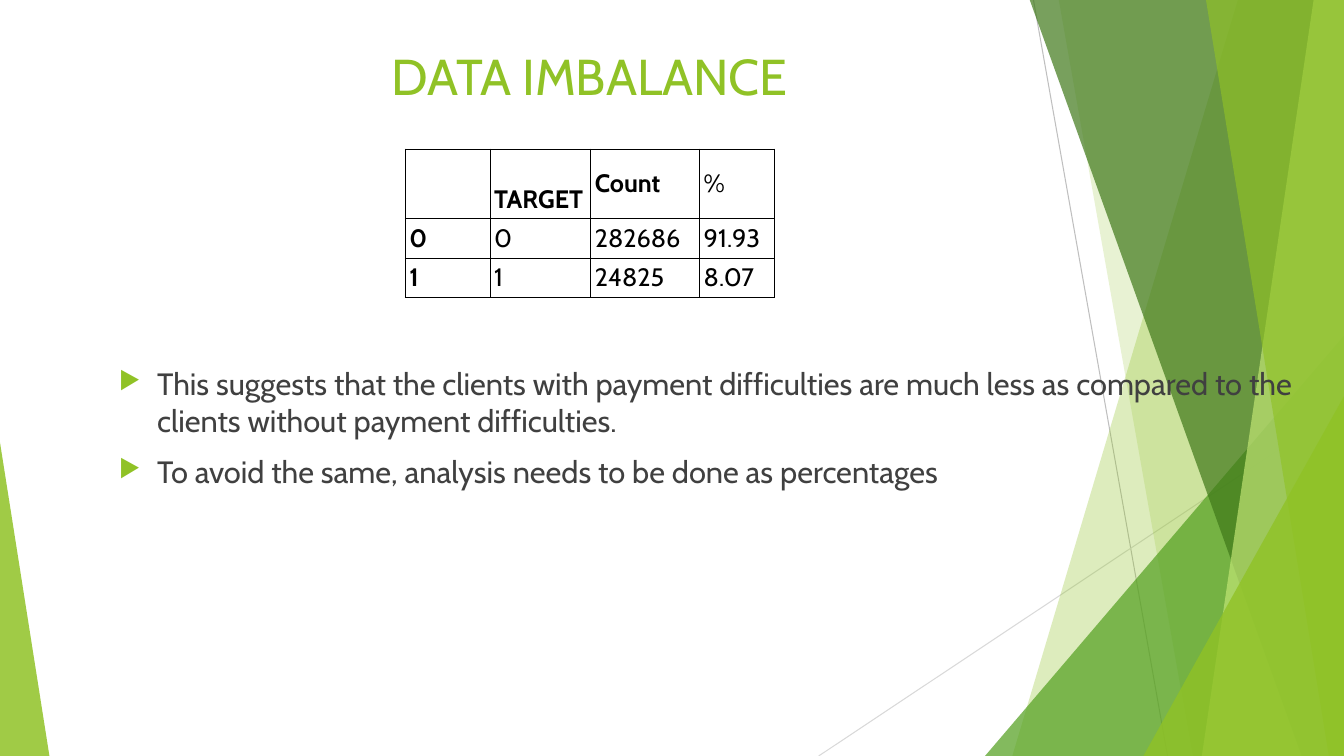
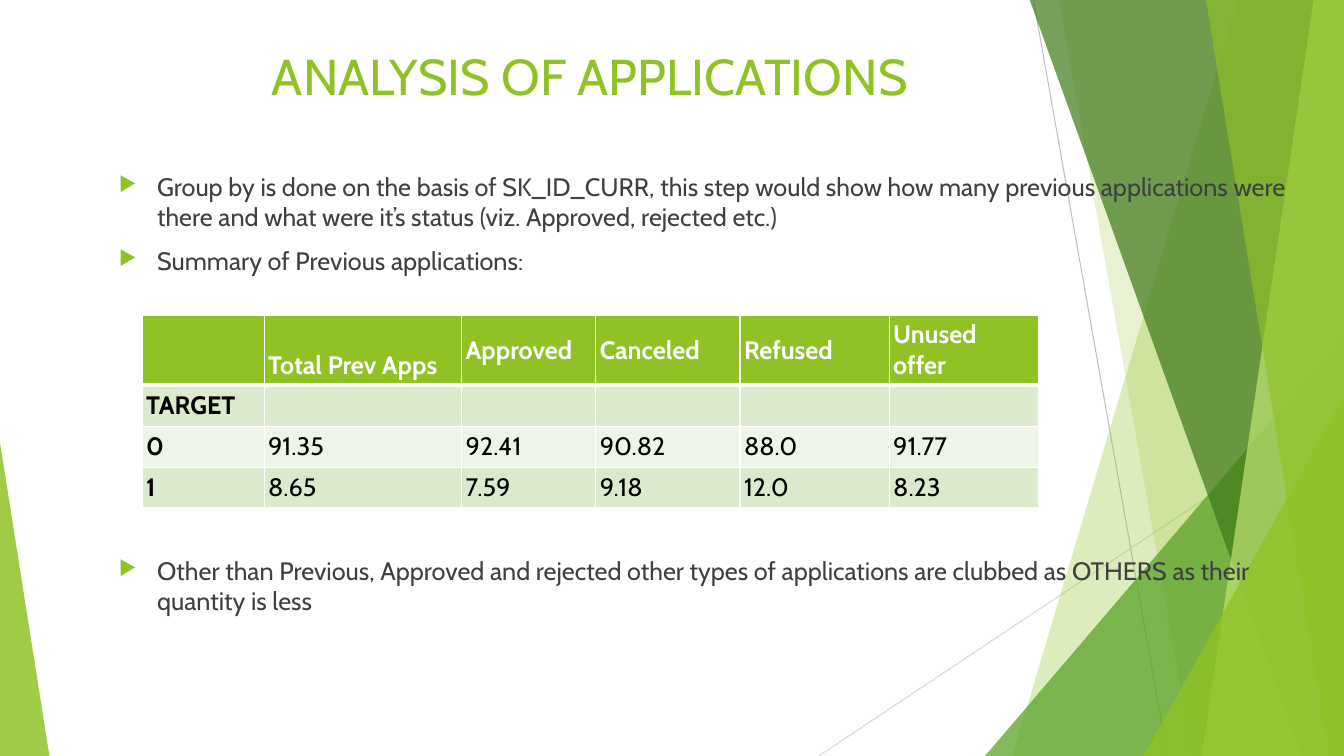
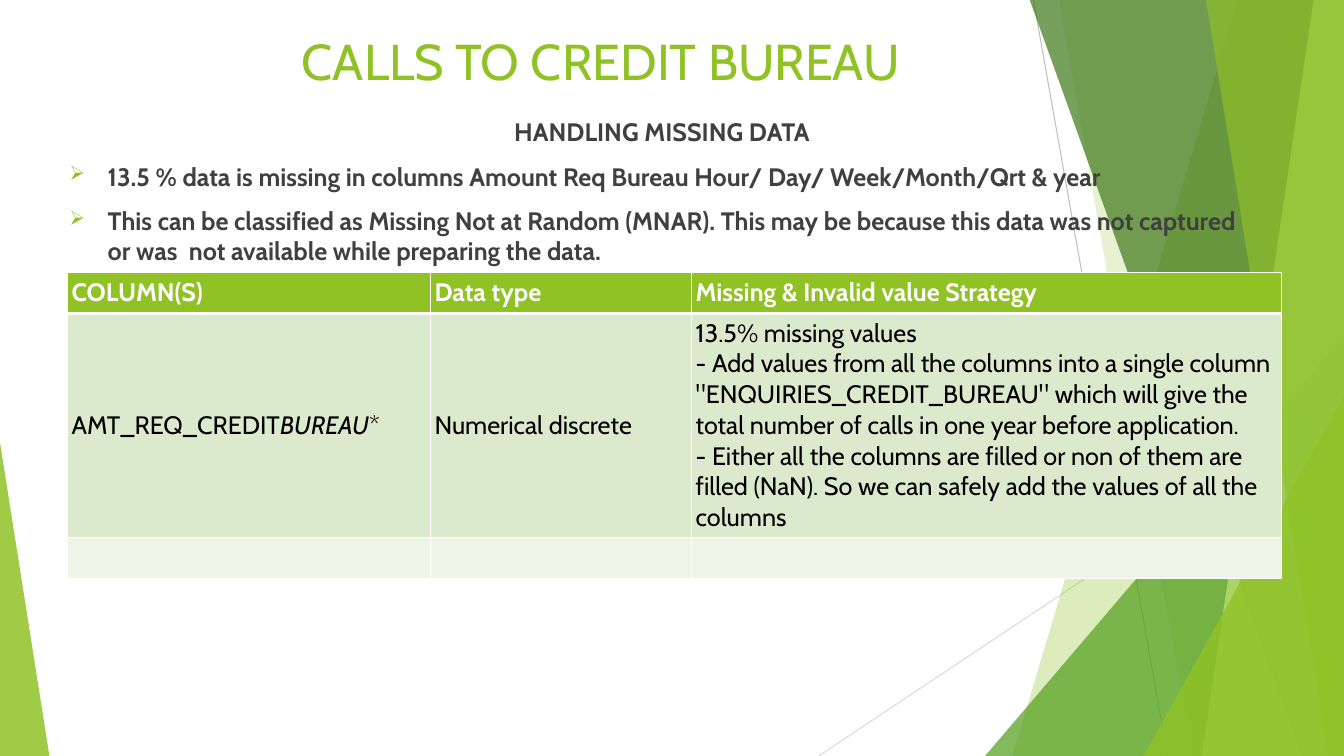
import pptx
import pptx.util
import pptx.dml.color
import pptx.enum.shapes
import pptx.enum.text
import pptx.oxml
import pptx.oxml.ns

Inches, Pt = pptx.util.Inches, pptx.util.Pt
RGBColor = pptx.dml.color.RGBColor
SHAPE = pptx.enum.shapes.MSO_SHAPE
ALIGN = pptx.enum.text.PP_ALIGN
ANCHOR = pptx.enum.text.MSO_ANCHOR
qn = pptx.oxml.ns.qn

# Shared look
FONT = "Cabin"
WIDTH, HEIGHT, TOP = 13.33, 7.5, -0.01
LIME = RGBColor(0x90, 0xC2, 0x26)
GREEN = RGBColor(0x54, 0xA0, 0x21)
DARK_GREEN = RGBColor(0x3F, 0x78, 0x19)
PALE_LIME = RGBColor(0xC0, 0xE4, 0x74)
BAND_DARK = RGBColor(0xDB, 0xE9, 0xCD)
BAND_LIGHT = RGBColor(0xEE, 0xF4, 0xE8)
BODY = RGBColor(0x40, 0x40, 0x40)
BLACK = RGBColor(0, 0, 0)
WHITE = RGBColor(0xFF, 0xFF, 0xFF)

RAYS = [
    ((10.25, 0), (11.58, HEIGHT), RGBColor(0xBF, 0xBF, 0xBF)),
    ((WIDTH, 4.03), (8.12, HEIGHT), RGBColor(0xD9, 0xD9, 0xD9)),
]
# Panels run to the right edge: (x at top, x at bottom).
# Triangles stand on the bottom edge: (left, top, width, apex).
FACETS = [
    ((12.28, 10.04), LIME, 30),
    ((10.5, 11.83), LIME, 20),
    ((9.77, 3.33, 3.56, 1), GREEN, 72),
    ((10.21, 12.91), DARK_GREEN, 70),
    ((13.03, 11.92), PALE_LIME, 70),
    ((11.96, 13.18), LIME, 65),
    ((11.34, 3.93, 1.99, 1), LIME, 80),
    ((0, 4.39, 0.49, 0), LIME, 85),
]

PLAIN = dict(fills=[WHITE] * 3, head_color=BLACK, border=BLACK, weight=0.75, head_weight=0.75)
BANDED = dict(fills=[LIME, BAND_DARK, BAND_LIGHT, BAND_DARK], head_color=WHITE,
              border=WHITE, weight=1, head_weight=3)

# Content: a cell is text or a list of (text, italic) runs
SLIDES = [
    dict(
        title="DATA IMBALANCE", title_at=(0.1, 0.4),
        texts=[dict(at=(1.08, 3.57, 11.95, 3.76), size=22, bullet="▶", paragraphs=[
            "This suggests that the clients with payment difficulties are much less as compared "
            "to the clients without payment difficulties.",
            "To avoid the same, analysis needs to be done as percentages"])],
        table=dict(
            at=(4.02, 1.48), cols=[0.84, 1, 1.08, 0.74], heights=[0.69, 0.39, 0.39],
            rows=[["", "TARGET", "Count", "%"],
                  ["0", "0", "282686", "91.93"],
                  ["1", "1", "24825", "8.07"]],
            bold={(0, 1), (0, 2), (1, 0), (2, 0)}, low={(0, 1)}, look=PLAIN)),
    dict(
        title="ANALYSIS OF APPLICATIONS", title_at=(0.1, 0.4),
        texts=[
            dict(at=(1.08, 1.65, 11.95, 1.3), size=18, bullet="▶", paragraphs=[
                "Group by is done on the basis of SK_ID_CURR, this step would show how many "
                "previous applications were there and what were it’s status (viz. Approved, "
                "rejected etc.)",
                "Summary of Previous applications:"]),
            dict(at=(1.08, 5.46, 11.95, 1), size=18, bullet="▶", paragraphs=[
                "Other than Previous, Approved and rejected other types of applications are "
                "clubbed as OTHERS as their quantity is less"])],
        table=dict(
            at=(1.41, 3.13), cols=[1.21, 1.96, 1.33, 1.43, 1.48, 1.48],
            heights=[0.69, 0.41, 0.41, 0.4],
            rows=[["", "Total Prev Apps", "Approved", "Canceled", "Refused", "Unused offer"],
                  ["TARGET", "", "", "", "", ""],
                  ["0", "91.35", "92.41", "90.82", "88.0", "91.77"],
                  ["1", "8.65", "7.59", "9.18", "12.0", "8.23"]],
            bold={(0, c) for c in range(6)} | {(r, 0) for r in range(4)},
            low={(0, 1)}, look=BANDED)),
    dict(
        title="CALLS TO CREDIT BUREAU", title_at=(0.21, 0.25),
        texts=[dict(at=(0.59, 1.11, 11.95, 1.6), size=18, bullet="➢", bold=True,
                    heading="HANDLING MISSING DATA", paragraphs=[
            "13.5 % data is missing in columns Amount Req Bureau Hour/ Day/ Week/Month/Qrt & year",
            "This can be classified as Missing Not at Random (MNAR). This may be because this "
            "data was not captured or was  not available while preparing the data."])],
        table=dict(
            at=(0.67, 2.7), cols=[3.6, 2.59, 5.85], heights=[0.41, 2.22, 0.41],
            rows=[["COLUMN(S)", "Data type", "Missing & Invalid value Strategy"],
                  [[("AMT_REQ_CREDIT", False), ("BUREAU", True), ("*", False)],
                   "Numerical discrete",
                   "13.5% missing values\n"
                   "- Add values from all the columns into a single column "
                   "\"ENQUIRIES_CREDIT_BUREAU\" which will give the total number of calls in "
                   "one year before application.\n"
                   "- Either all the columns are filled or non of them are filled (NaN). So we "
                   "can safely add the values of all the columns"],
                  ["", "", ""]],
            bold={(0, c) for c in range(3)}, low=set(), look=BANDED)),
]


def sub(parent, tag, **attrs):
    el = pptx.oxml.parse_xml(f'<{tag} {pptx.oxml.ns.nsdecls("a")}/>')
    for name, value in attrs.items():
        el.set(name, str(value))
    parent.append(el)
    return el


def add_run(p, text, size, color, bold=False, italic=False):
    r = p.add_run()
    r.text = text
    f = r.font
    f.name, f.size, f.bold, f.italic = FONT, Pt(size), bold, italic
    f.color.rgb = color


def add_textbox(s, at):
    tf = s.shapes.add_textbox(*map(Inches, at)).text_frame
    tf.word_wrap = True
    return tf


def set_bullet(p, char):
    pPr = p._p.get_or_add_pPr()
    pPr.set("marL", str(Inches(0.38)))
    pPr.set("indent", str(-Inches(0.38)))
    sub(sub(pPr, "a:buClr"), "a:srgbClr", val=LIME)
    sub(pPr, "a:buSzPct", val=80000)
    sub(pPr, "a:buChar", char=char)


def add_backdrop(s):
    for start, end, color in RAYS:
        line = s.shapes.add_connector(pptx.enum.shapes.MSO_CONNECTOR.STRAIGHT,
                                      *map(Inches, start + end))
        line.line.color.rgb = color
        line.line.width = Pt(0.75)
        sub(line._element.spPr, "a:effectLst")
    for outline, color, opacity in FACETS:
        if len(outline) == 2:
            x_top, x_bottom = outline
            corners = [(x_top, TOP), (WIDTH, TOP), (WIDTH, HEIGHT), (x_bottom, HEIGHT)]
            points = [(Inches(x), Inches(y)) for x, y in corners]
            fb = s.shapes.build_freeform(*points[0])
            fb.add_line_segments(points[1:], close=True)
            sp = fb.convert_to_shape()
        else:
            left, top, width, apex = outline
            sp = s.shapes.add_shape(SHAPE.ISOSCELES_TRIANGLE,
                                    *map(Inches, (left, top, width, HEIGHT - top)))
            sp.adjustments[0] = apex
        sp.shadow.inherit = False
        sp.line.fill.background()
        sp.fill.solid()
        sp.fill.fore_color.rgb = color
        rgb = sp._element.spPr.find(qn("a:solidFill")).find(qn("a:srgbClr"))
        sub(rgb, "a:alpha", val=opacity * 1000)


def add_title(s, text, at):
    p = add_textbox(s, (*at, 11.5, 0.88)).paragraphs[0]
    p.alignment = ALIGN.CENTER
    add_run(p, text, 36, LIME)


def add_body(s, at, size, bullet, paragraphs, bold=False, heading=None):
    tf = add_textbox(s, at)
    lines = ([heading] if heading else []) + paragraphs
    for i, text in enumerate(lines):
        p = tf.add_paragraph() if i else tf.paragraphs[0]
        if text == heading:
            p.alignment = ALIGN.CENTER
        else:
            set_bullet(p, bullet)
        if i:
            p.space_before = Pt(10)
        add_run(p, text, size, BODY, bold)


def set_borders(cell, color, weights):
    tcPr = cell._tc.get_or_add_tcPr()
    for side, weight in zip("LRTB", weights):
        ln = sub(tcPr, f"a:ln{side}", w=Pt(weight))
        sub(sub(ln, "a:solidFill"), "a:srgbClr", val=color)


def add_table(s, at, cols, heights, rows, bold, low, look):
    size = (sum(cols), sum(heights))
    table = s.shapes.add_table(len(rows), len(cols), *map(Inches, at + size)).table
    table.first_row = table.horz_banding = False
    for col, width in zip(table.columns, cols):
        col.width = Inches(width)
    for row, height in zip(table.rows, heights):
        row.height = Inches(height)
    thin, thick = look["weight"], look["head_weight"]
    for i, row in enumerate(rows):
        for j, content in enumerate(row):
            cell = table.cell(i, j)
            set_borders(cell, look["border"],
                        (thin, thin, thick if i == 1 else thin, thick if i == 0 else thin))
            cell.fill.solid()
            cell.fill.fore_color.rgb = look["fills"][i]
            cell.margin_left = cell.margin_right = Inches(0.04)
            cell.margin_top = cell.margin_bottom = Inches(0.04)
            cell.vertical_anchor = ANCHOR.BOTTOM if (i, j) in low else ANCHOR.MIDDLE
            color = BLACK if i else look["head_color"]
            if isinstance(content, str):
                lines = [[(line, False)] for line in content.split("\n")] if content else []
            else:
                lines = [content]
            tf = cell.text_frame
            for k, runs in enumerate(lines):
                p = tf.add_paragraph() if k else tf.paragraphs[0]
                for text, italic in runs:
                    add_run(p, text, 18, color, (i, j) in bold, italic)


def main():
    prs = pptx.Presentation()
    prs.slide_width, prs.slide_height = Inches(WIDTH), Inches(HEIGHT)
    for content in SLIDES:
        s = prs.slides.add_slide(prs.slide_layouts[6])
        add_backdrop(s)
        add_title(s, content["title"], content["title_at"])
        for text in content["texts"]:
            add_body(s, **text)
        add_table(s, **content["table"])
    prs.save("out.pptx")


if __name__ == "__main__":
    main()
